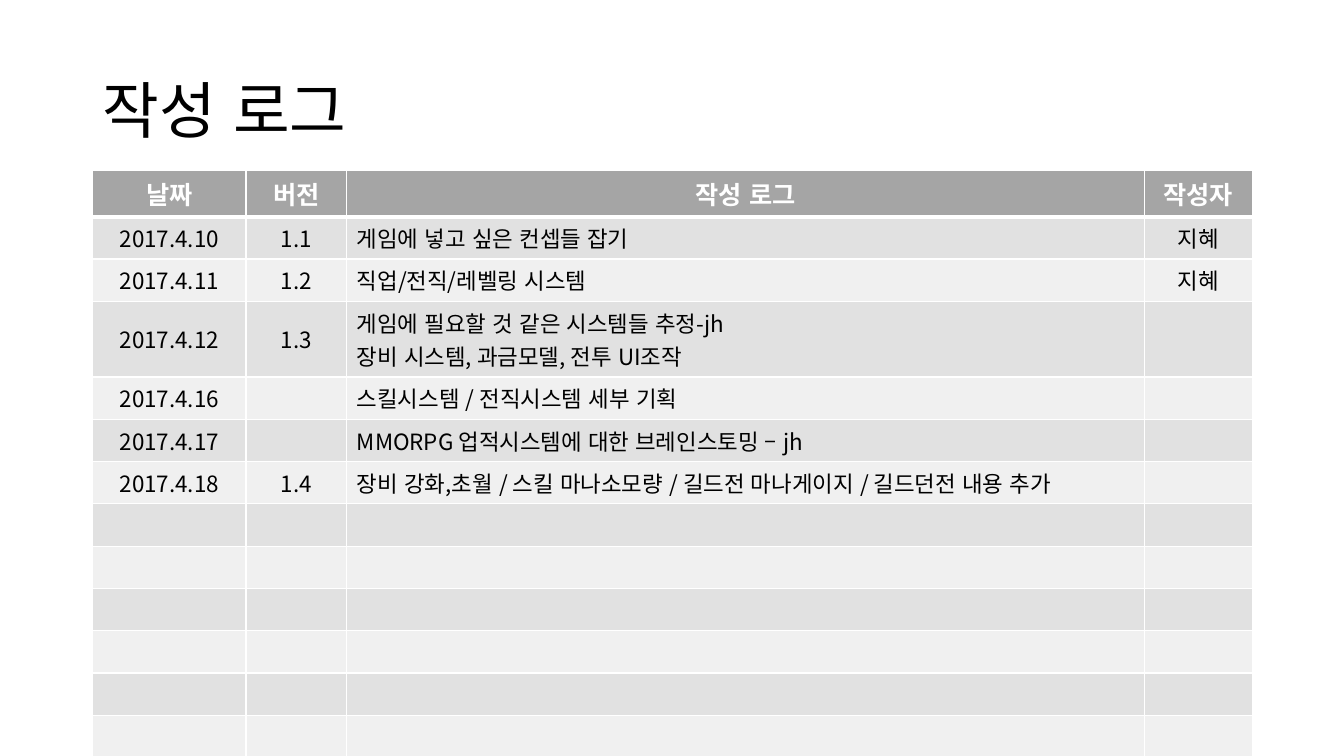
"""Builds the writing-log slide: a title and a version table."""
from lxml import etree
from pptx import Presentation
from pptx import util as u
from pptx.dml.color import RGBColor
from pptx.enum import lang, text
from pptx.oxml.ns import qn

FONT = "Noto Sans CJK KR"
WIDTHS = [1.52, 1, 7.91, 1.07]
HEAD = ["날짜", "버전", "작성 로그", "작성자"]
LOGS = [
    ["2017.4.10", "1.1", "게임에 넣고 싶은 컨셉들 잡기", "지혜"],
    ["2017.4.11", "1.2", "직업/전직/레벨링 시스템", "지혜"],
    ["2017.4.12", "1.3", "게임에 필요할 것 같은 시스템들 추정-jh\n"
     "장비 시스템, 과금모델, 전투 UI조작", ""],
    ["2017.4.16", "", "스킬시스템 / 전직시스템 세부 기획", ""],
    ["2017.4.17", "", "MMORPG 업적시스템에 대한 브레인스토밍 – jh", ""],
    ["2017.4.18", "1.4", "장비 강화,초월 / 스킬 마나소모량 / 길드전 마나게이지 / 길드던전 내용 추가", ""],
]
BLANKS = 6
HEAD_H, ROW_H, LINE_H = 0.46, 0.42, 0.33


def color(code):
    """Return the colour of a hex string."""
    return RGBColor.from_string(code)


def add_run(para, words, size, code, bold=False):
    """Add one styled run to a paragraph."""
    run = para.add_run()
    run.text = words
    font = run.font
    font.size, font.bold, font.name = u.Pt(size), bold, FONT
    font.language_id = lang.MSO_LANGUAGE_ID.KOREAN
    font.color.rgb = color(code)
    etree.SubElement(run._r.get_or_add_rPr(), qn("a:ea"), typeface=FONT)


def add_title(slide, words):
    """Add the slide title."""
    box = slide.shapes.add_textbox(
        u.Inches(0.92), u.Inches(0.4), u.Inches(11.5), u.Inches(1.45))
    frame = box.text_frame
    frame.word_wrap = True
    frame.vertical_anchor = text.MSO_ANCHOR.MIDDLE
    para = frame.paragraphs[0]
    para.line_spacing = 0.9
    add_run(para, words, 44, "000000")


def set_edges(cell, base):
    """Draw white cell borders, with the given width at the bottom."""
    props = cell._tc.get_or_add_tcPr()
    for spot, side in enumerate("LRTB"):
        width = base if side == "B" else 1
        line = etree.Element(qn("a:ln" + side), w=str(u.Pt(width)))
        fill = etree.SubElement(line, qn("a:solidFill"))
        etree.SubElement(fill, qn("a:srgbClr"), val="FFFFFF")
        props.insert(spot, line)


def fill_cell(cell, words, fill, align, head):
    """Fill one cell with its colour, borders and text."""
    size, code = (18, "FFFFFF") if head else (16, "000000")
    cell.fill.solid()
    cell.fill.fore_color.rgb = color(fill)
    set_edges(cell, 3 if head else 1)
    if not head:
        cell.vertical_anchor = text.MSO_ANCHOR.MIDDLE
    frame = cell.text_frame
    for spot, line in enumerate(words.split("\n")):
        para = frame.add_paragraph() if spot else frame.paragraphs[0]
        para.alignment = align
        if line:
            add_run(para, line, size, code, head)
        else:
            etree.SubElement(para._p, qn("a:endParaRPr"), sz=str(size * 100))


def row_size(row, head):
    """Return the height that a row's text needs."""
    if head:
        return HEAD_H
    return ROW_H + LINE_H * max(words.count("\n") for words in row)


def add_log(slide):
    """Add the log table with its banded rows."""
    rows = [HEAD] + LOGS + [[""] * len(HEAD)] * BLANKS
    sizes = [row_size(row, y == 0) for y, row in enumerate(rows)]
    table = slide.shapes.add_table(
        len(rows), len(HEAD), u.Inches(0.92), u.Inches(1.69),
        u.Inches(sum(WIDTHS)), u.Inches(sum(sizes))).table
    for col, width in zip(table.columns, WIDTHS):
        col.width = u.Inches(width)
    for y, row in enumerate(rows):
        table.rows[y].height = u.Inches(sizes[y])
        head = y == 0
        fill = "A5A5A5" if head else ("F0F0F0", "E1E1E1")[y % 2]
        for x, words in enumerate(row):
            left = x == 2 and not head
            align = text.PP_ALIGN.LEFT if left else text.PP_ALIGN.CENTER
            fill_cell(table.cell(y, x), words, fill, align, head)


def main():
    """Build and save the slide."""
    deck = Presentation()
    deck.slide_width, deck.slide_height = u.Inches(13.33), u.Inches(7.5)
    slide = deck.slides.add_slide(deck.slide_layouts[6])
    add_title(slide, "작성 로그")
    add_log(slide)
    deck.save("out.pptx")


if __name__ == "__main__":
    main()
